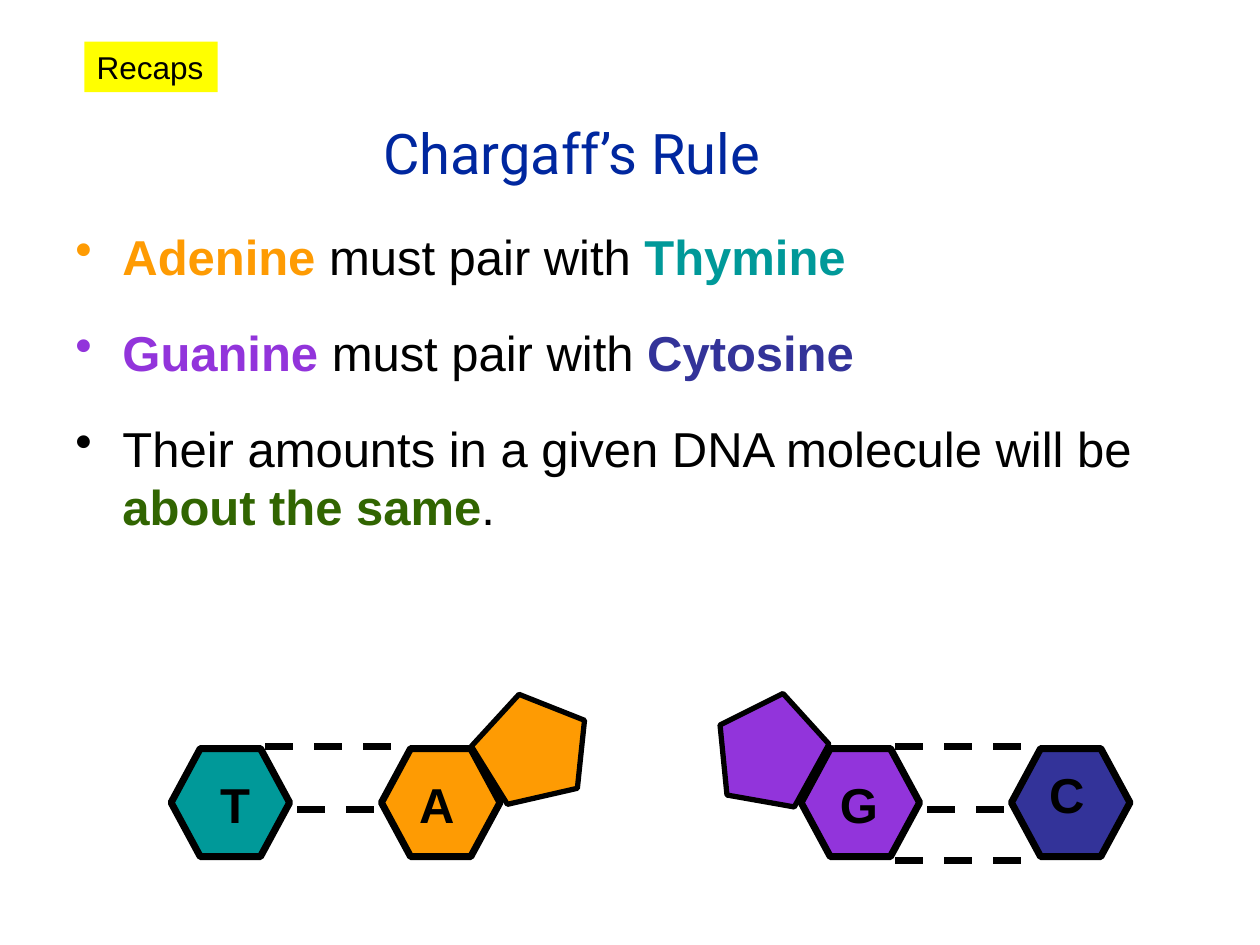
"""Build a slide on Chargaff's rule with its two base pairs."""
from lxml import etree
from pptx import Presentation
from pptx.dml.color import RGBColor
from pptx.enum import dml, shapes, text
from pptx.oxml import ns
from pptx.util import Cm, Pt

BLACK = RGBColor(0, 0, 0)
BLUE = RGBColor(0x00, 0x27, 0x9F)
ORANGE = RGBColor(0xFE, 0x9B, 0x03)
TEAL = RGBColor(0x00, 0x99, 0x99)
PURPLE = RGBColor(0x92, 0x34, 0xDB)
NAVY = RGBColor(0x33, 0x33, 0x99)
GREEN = RGBColor(0x31, 0x65, 0x01)
YELLOW = RGBColor(0xFF, 0xFF, 0x00)

RULES = [
    [("Adenine ", ORANGE), ("must pair with ", BLACK), ("Thymine", TEAL)],
    [("Guanine", PURPLE), (" must pair with ", BLACK), ("Cytosine", NAVY)],
    [("Their amounts in a given DNA molecule will be ", BLACK),
     ("about the same", GREEN), (".", BLACK)],
]
PAIRS = [
    {"left": 3.45,
     "bases": [("T", TEAL, 0.74, 15.49, 1.12), ("A", ORANGE, 0.51, 15.49, 1.22)],
     "bonds": [(1.9, 4.72, 15.04), (2.54, 4.32, 16.31)],
     "ring": (9.53, 13.97, 347.1, ORANGE)},
    {"left": 16.15,
     "bases": [("G", PURPLE, 0.53, 15.49, 1.27), ("C", NAVY, 0.51, 15.29, 1.22)],
     "bonds": [(1.9, 4.72, 15.04), (2.54, 4.09, 16.31), (1.9, 4.72, 17.35)],
     "ring": (14.27, 14.07, 298.9, PURPLE)},
]
STEP, TOP, WIDE, HIGH = 4.24, 15.09, 2.39, 2.18

deck = Presentation()
deck.slide_width, deck.slide_height = Cm(25.4), Cm(19.05)
slide = deck.slides.add_slide(deck.slide_layouts[6])


def style(font, size, color, name="Arial", bold=False):
    font.size, font.name, font.bold = Pt(size), name, bold
    font.color.rgb = color


def add_text(box, words, size, color, wrap=False, **look):
    frame = slide.shapes.add_textbox(*map(Cm, box)).text_frame
    frame.word_wrap = wrap
    par = frame.paragraphs[0]
    par.text = words
    style(par.font, size, color, **look)
    return frame


def add_form(kind, box, fill, width=0):
    form = slide.shapes.add_shape(kind, *map(Cm, box))
    form.shadow.inherit = False
    form.fill.solid()
    form.fill.fore_color.rgb = fill
    if width:
        form.line.color.rgb = BLACK
        form.line.width = Pt(width)
    else:
        form.line.fill.background()
    return form


def add_bond(start, end, y):
    bond = slide.shapes.add_connector(
        shapes.MSO_CONNECTOR.STRAIGHT, Cm(start), Cm(y), Cm(end), Cm(y))
    bond.line.color.rgb = BLACK
    bond.line.width = Pt(4)
    bond.line.dash_style = dml.MSO_LINE.DASH
    etree.SubElement(bond._element.spPr, ns.qn("a:effectLst"))


def add_rules():
    frame = slide.shapes.add_textbox(Cm(1.27), Cm(4.45), Cm(22.86), Cm(12.57)).text_frame
    frame.word_wrap = True
    for i, parts in enumerate(RULES):
        par = frame.add_paragraph() if i else frame.paragraphs[0]
        par.space_before = Pt(21 if i else 3)
        props = par._p.get_or_add_pPr()
        props.set("marL", str(Cm(0.95)))
        props.set("indent", str(-Cm(0.95)))
        etree.SubElement(props, ns.qn("a:buChar"), char="•")
        for words, color in parts:
            run = par.add_run()
            run.text = words
            style(run.font, 28, color, bold=color != BLACK)


def add_pair(pair):
    left = pair["left"]
    for i, (_, color, *_) in enumerate(pair["bases"]):
        box = left + i * STEP, TOP, WIDE, HIGH
        base = add_form(shapes.MSO_SHAPE.HEXAGON, box, color, 4)
        base.adjustments[0] = 0.27
    for start, end, y in pair["bonds"]:
        add_bond(left + start, left + end, y)
    for i, (letter, _, inset, y, wide) in enumerate(pair["bases"]):
        add_text((left + i * STEP + inset, y, wide, 1.42), letter, 28, BLACK, bold=True)
    x, y, turn, color = pair["ring"]
    ring = add_form(shapes.MSO_SHAPE.REGULAR_PENTAGON, (x, y, 2.34, 2.11), color, 3)
    ring.rotation = turn


title = add_text((5.28, 2.11, 12.5, 1.91), "Chargaff’s Rule", 32, BLUE, True, name="Roboto")
title.vertical_anchor = text.MSO_ANCHOR.MIDDLE
title.paragraphs[0].alignment = text.PP_ALIGN.CENTER
add_rules()
for pair in reversed(PAIRS):
    add_pair(pair)

label = add_form(shapes.MSO_SHAPE.RECTANGLE, (1.7, 0.84, 2.69, 1.02), YELLOW).text_frame
label.word_wrap = False
label.text = "Recaps"
label.paragraphs[0].alignment = text.PP_ALIGN.LEFT
style(label.paragraphs[0].font, 18, BLACK)

deck.save("out.pptx")
